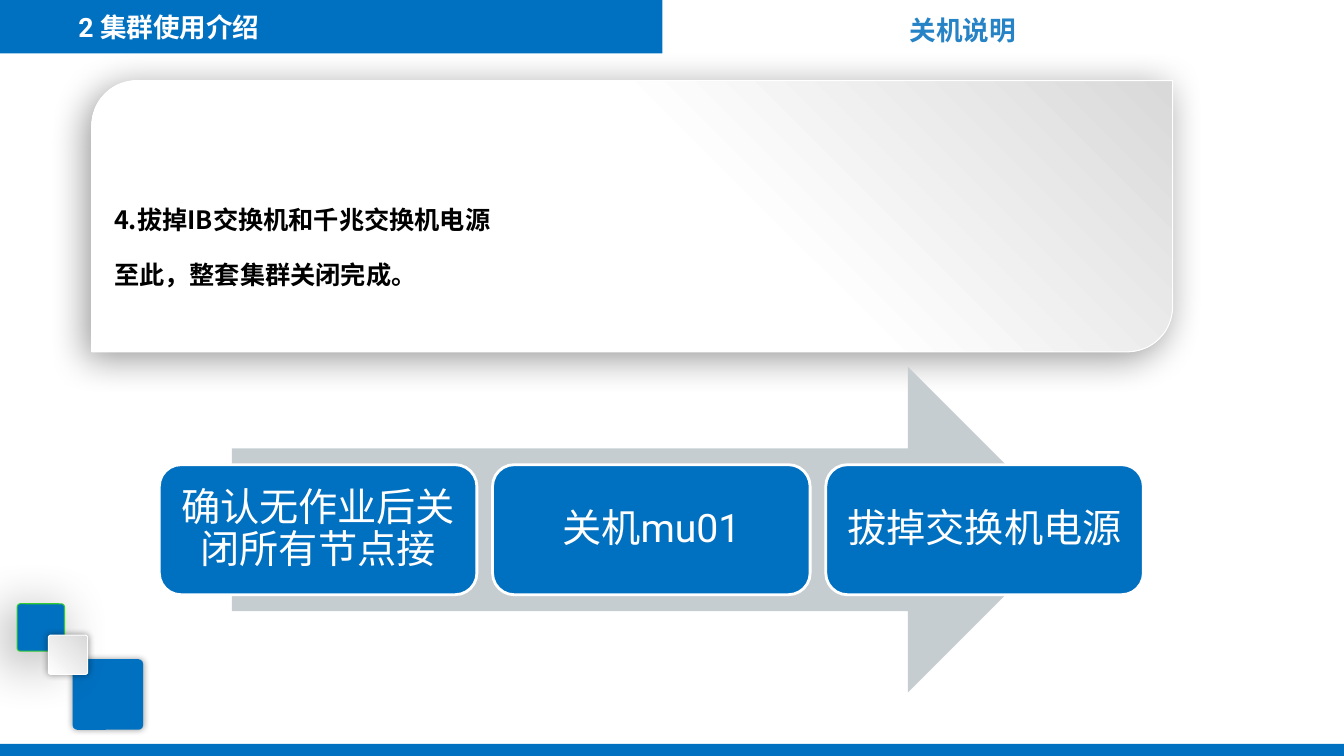
import pptx
import pptx.dml.color
import pptx.enum.shapes
import pptx.enum.text
import pptx.oxml
import pptx.oxml.ns
import pptx.util

Inches = pptx.util.Inches
Pt = pptx.util.Pt
SHAPE = pptx.enum.shapes.MSO_SHAPE
ALIGN = pptx.enum.text.PP_ALIGN
BLUE, WHITE, GREY = "0070C0", "FFFFFF", "D9D9D9"


def colour(value):
    return pptx.dml.color.RGBColor.from_string(value)


class ShutdownSlide:
    latin = "Roboto"
    chinese = "Noto Sans CJK SC"

    def __init__(self, deck):
        self.slide = deck.slides.add_slide(deck.slide_layouts[5])

    def shape(self, kind, box, fill, line=None, width=0.75, radius=None, shadow=None):
        shape = self.slide.shapes.add_shape(kind, *map(Inches, box))
        shape.shadow.inherit = False
        if isinstance(fill, str):
            shape.fill.solid()
            shape.fill.fore_color.rgb = colour(fill)
        else:
            shape.fill.gradient()
            shape.fill.gradient_angle = 225
            for stop, (position, value) in zip(shape.fill.gradient_stops, fill):
                stop.position = position
                stop.color.rgb = colour(value)
        if line:
            shape.line.color.rgb = colour(line)
            shape.line.width = Pt(width)
        else:
            shape.line.fill.background()
        if radius is not None:
            shape.adjustments[0] = radius
        if shadow:
            self.cast_shadow(shape, *shadow)
        return shape

    def cast_shadow(self, shape, blur, distance, angle):
        effects = shape.element.spPr.find(pptx.oxml.ns.qn("a:effectLst"))
        effects.append(pptx.oxml.parse_xml(
            f'<a:outerShdw {pptx.oxml.ns.nsdecls("a")} blurRad="{Pt(blur)}" '
            f'dist="{Pt(distance)}" dir="{angle * 60000}" algn="ctr" rotWithShape="0">'
            '<a:srgbClr val="000000"><a:alpha val="40000"/></a:srgbClr></a:outerShdw>'))

    def label(self, shape, lines, size, value, bold=False, align=ALIGN.LEFT,
              font=None, insets=(0.1, 0.05, 0.1, 0.05), spacing=None, gap=0):
        frame = shape.text_frame
        frame.word_wrap = True
        frame.auto_size = pptx.enum.text.MSO_AUTO_SIZE.NONE
        frame.vertical_anchor = pptx.enum.text.MSO_ANCHOR.MIDDLE
        (frame.margin_left, frame.margin_top,
         frame.margin_right, frame.margin_bottom) = map(Inches, insets)
        for index, line in enumerate(lines):
            paragraph = frame.add_paragraph() if index else frame.paragraphs[0]
            paragraph.alignment = align
            paragraph.space_before = Pt(gap if index else 0)
            if spacing:
                paragraph.line_spacing = spacing
            run = paragraph.add_run()
            run.text = line
            run.font.size = Pt(size)
            run.font.bold = bold
            run.font.name = font or self.latin
            run.font.color.rgb = colour(value)
        for latin in list(shape.element.iter(pptx.oxml.ns.qn("a:latin"))):
            latin.addnext(pptx.oxml.parse_xml(
                f'<a:ea {pptx.oxml.ns.nsdecls("a")} typeface="{self.chinese}"/>'))

    def text(self, box, lines, size, value, **style):
        self.label(self.slide.shapes.add_textbox(*map(Inches, box)),
                   lines, size, value, **style)

    def title(self, box, line, size, value, **style):
        title = self.slide.shapes.title
        title.left, title.top, title.width, title.height = map(Inches, box)
        self.label(title, [line], size, value, **style)
        title.element.getparent().append(title.element)


def main():
    deck = pptx.Presentation()
    deck.slide_width, deck.slide_height = Inches(13.33), Inches(7.5)
    page = ShutdownSlide(deck)

    page.shape(SHAPE.RECTANGLE, (0, 7.38, 13.33, 0.12), BLUE)
    page.shape(SHAPE.RECTANGLE, (0, 0, 13.33, 0.53), BLUE)
    page.shape(SHAPE.RECTANGLE, (6.57, 0, 6.76, 0.54), WHITE)
    page.text((0.68, 0, 4.78, 0.54), ["2 集群使用介绍"], 19, WHITE, bold=True)

    for left, top, side, fill, line, shadow in (
            (0.72, 6.54, 0.7, BLUE, None, (5, 0, 0)),
            (0.17, 5.99, 0.47, BLUE, "33CC33", (40, 9, 135)),
            (0.48, 6.3, 0.39, ((0, GREY), (1, WHITE)), WHITE, (5, 0, 0))):
        page.shape(SHAPE.ROUNDED_RECTANGLE, (left, top, side, side), fill, line,
                   radius=0.067, shadow=shadow)

    panel = page.shape(SHAPE.ROUND_2_DIAG_RECTANGLE, (0.91, 0.8, 10.72, 2.69),
                       ((0, GREY), (0.42, WHITE)), WHITE, shadow=(27, 6, 135))
    page.label(panel, ["4.拔掉IB交换机和千兆交换机电源", "至此，整套集群关闭完成。"],
               18, "000000", bold=True, font=page.chinese,
               insets=(0.09, 0.65, 0.09, 0.04), gap=17.4)

    page.title((7.16, 0.03, 4.78, 0.54), "关机说明", 19, "2683C6",
               bold=True, align=ALIGN.CENTER)

    page.shape(SHAPE.RIGHT_ARROW, (2.3, 3.64, 8.32, 3.23), "C6CDD1")
    for index, step in enumerate(("确认无作业后关闭所有节点接", "关机mu01", "拔掉交换机电源")):
        card = page.shape(SHAPE.ROUNDED_RECTANGLE,
                          (1.58 + 3.305 * index, 4.61, 3.15, 1.29), BLUE, WHITE, 2)
        page.label(card, [step], 28, WHITE, align=ALIGN.CENTER,
                   insets=(0.12,) * 4, spacing=0.9)

    deck.save("out.pptx")


if __name__ == "__main__":
    main()
